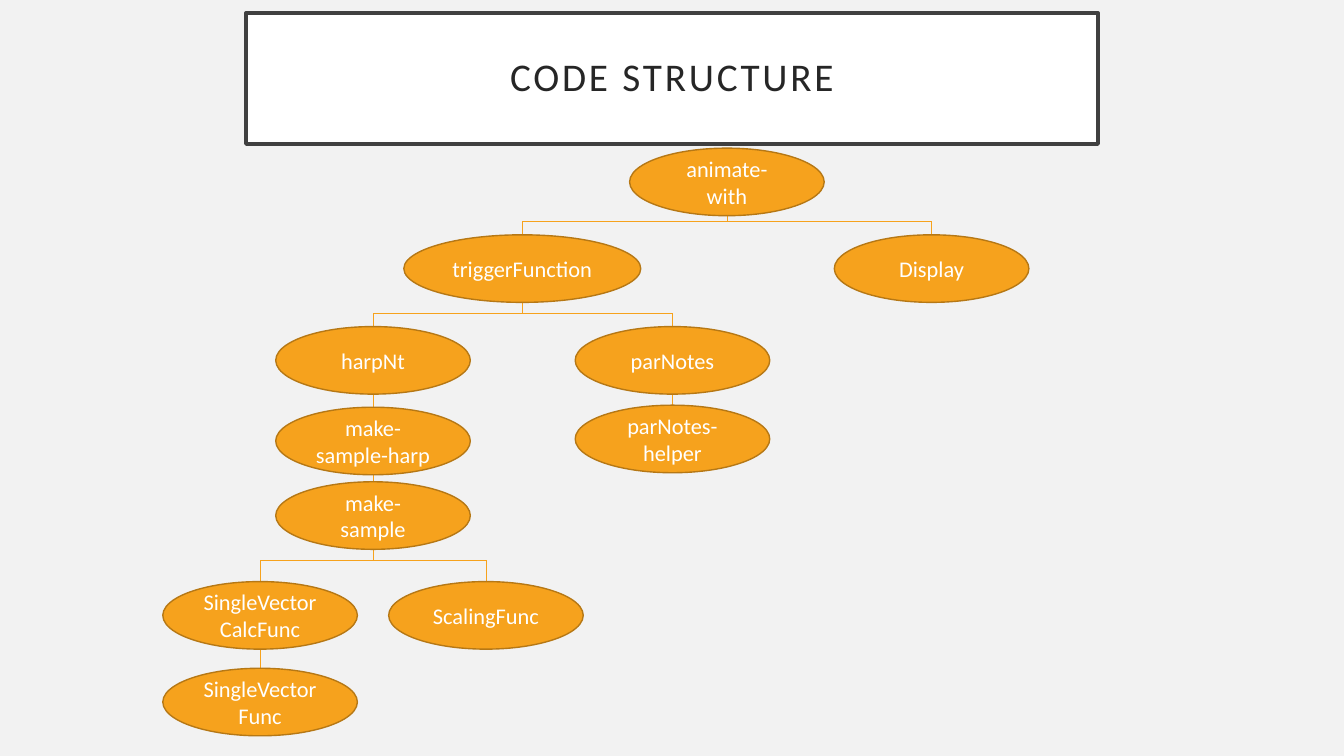
from dataclasses import dataclass

from lxml.etree import SubElement
from pptx import Presentation
from pptx.dml.color import RGBColor
from pptx.enum.shapes import MSO_CONNECTOR as Connector, MSO_SHAPE as Shape
from pptx.enum.text import MSO_ANCHOR as Anchor, PP_ALIGN as Align
from pptx.oxml.ns import qn
from pptx.util import Inches, Pt


@dataclass(frozen=True)
class Theme:
    font: str = "Calibri"
    background: str = "F2F2F2"
    title_fill: str = "FFFFFF"
    title_line: str = "404040"
    title_text: str = "262626"
    node_fill: str = "F6A21D"
    node_line: str = "B67815"
    node_text: str = "FFFFFF"
    title_size: int = 28
    node_size: int = 16


THEME = Theme()
NODE_WIDTH, NODE_HEIGHT = 1.93, 0.67

# Function name: centre x, top, width
NODES = {
    "animate-with": (7.21, 1.47, NODE_WIDTH),
    "triggerFunction": (5.18, 2.33, 2.35),
    "Display": (9.24, 2.33, NODE_WIDTH),
    "harpNt": (3.7, 3.24, NODE_WIDTH),
    "parNotes": (6.67, 3.24, NODE_WIDTH),
    "make-sample-harp": (3.7, 4.04, NODE_WIDTH),
    "parNotes-helper": (6.67, 4.02, NODE_WIDTH),
    "make-sample": (3.7, 4.78, NODE_WIDTH),
    "SingleVectorCalcFunc": (2.58, 5.77, NODE_WIDTH),
    "ScalingFunc": (4.82, 5.77, NODE_WIDTH),
    "SingleVectorFunc": (2.58, 6.63, NODE_WIDTH),
}

# Caller, height of the shared bar, functions called
BRANCHES = [
    ("animate-with", 2.2, ("triggerFunction", "Display")),
    ("triggerFunction", 3.11, ("harpNt", "parNotes")),
    ("make-sample", 5.56, ("SingleVectorCalcFunc", "ScalingFunc")),
]
CHAINS = [
    ("harpNt", "make-sample-harp"),
    ("make-sample-harp", "make-sample"),
    ("parNotes", "parNotes-helper"),
    ("SingleVectorCalcFunc", "SingleVectorFunc"),
]


def set_format(target, values):
    for name, value in values.items():
        setattr(target, name, value)


def add_box(slide, kind, box, text, fill, line, line_width, color, size):
    shape = slide.shapes.add_shape(kind, *map(Inches, box))
    shape.shadow.inherit = False
    shape.fill.solid()
    shape.fill.fore_color.rgb = RGBColor.from_string(fill)
    shape.line.color.rgb = RGBColor.from_string(line)
    shape.line.width = Pt(line_width)
    set_format(shape.text_frame, {"word_wrap": True, "vertical_anchor": Anchor.MIDDLE})
    paragraph = shape.text_frame.paragraphs[0]
    paragraph.alignment = Align.CENTER
    run = paragraph.add_run()
    run.text = text
    set_format(run.font, {"name": THEME.font, "size": Pt(size)})
    run.font.color.rgb = RGBColor.from_string(color)
    return shape


def add_title(slide, text):
    shape = add_box(slide, Shape.RECTANGLE, (2.44, 0.13, 8.45, 1.3), text,
                    THEME.title_fill, THEME.title_line, 2.5,
                    THEME.title_text, THEME.title_size)
    sides = ("left", "top", "right", "bottom")
    set_format(shape.text_frame, {f"margin_{side}": Inches(0.2) for side in sides})
    paragraph = shape.text_frame.paragraphs[0]
    paragraph.line_spacing = 0.9
    # Letter spacing, in hundredths of a point
    paragraph.runs[0].font._element.set("spc", "200")


def add_node(slide, name):
    center, top, width = NODES[name]
    add_box(slide, Shape.OVAL, (center - width / 2, top, width, NODE_HEIGHT), name,
            THEME.node_fill, THEME.node_line, 1, THEME.node_text, THEME.node_size)


def add_line(slide, *ends):
    line = slide.shapes.add_connector(Connector.STRAIGHT, *map(Inches, ends))
    line.line.color.rgb = RGBColor.from_string(THEME.node_fill)
    line.line.width = Pt(0.5)
    SubElement(line._element.spPr, qn("a:effectLst"))


def add_branch(slide, caller, bar, called):
    center, top, _ = NODES[caller]
    add_line(slide, center, top + NODE_HEIGHT, center, bar)
    centers = [NODES[name][0] for name in called]
    add_line(slide, min(centers), bar, max(centers), bar)
    for name in called:
        x, child_top, _ = NODES[name]
        add_line(slide, x, bar, x, child_top)


def add_chain(slide, caller, called):
    center, top, _ = NODES[caller]
    add_line(slide, center, top + NODE_HEIGHT, center, NODES[called][1])


def main():
    presentation = Presentation()
    set_format(presentation, {"slide_width": Inches(13.33), "slide_height": Inches(7.5)})
    slide = presentation.slides.add_slide(presentation.slide_layouts[6])
    slide.background.fill.solid()
    slide.background.fill.fore_color.rgb = RGBColor.from_string(THEME.background)

    # Title
    add_title(slide, "CODE STRUCTURE")

    # Call tree: lines behind, functions in front
    for branch in BRANCHES:
        add_branch(slide, *branch)
    for chain in CHAINS:
        add_chain(slide, *chain)
    for name in NODES:
        add_node(slide, name)

    presentation.save("out.pptx")


if __name__ == "__main__":
    main()
